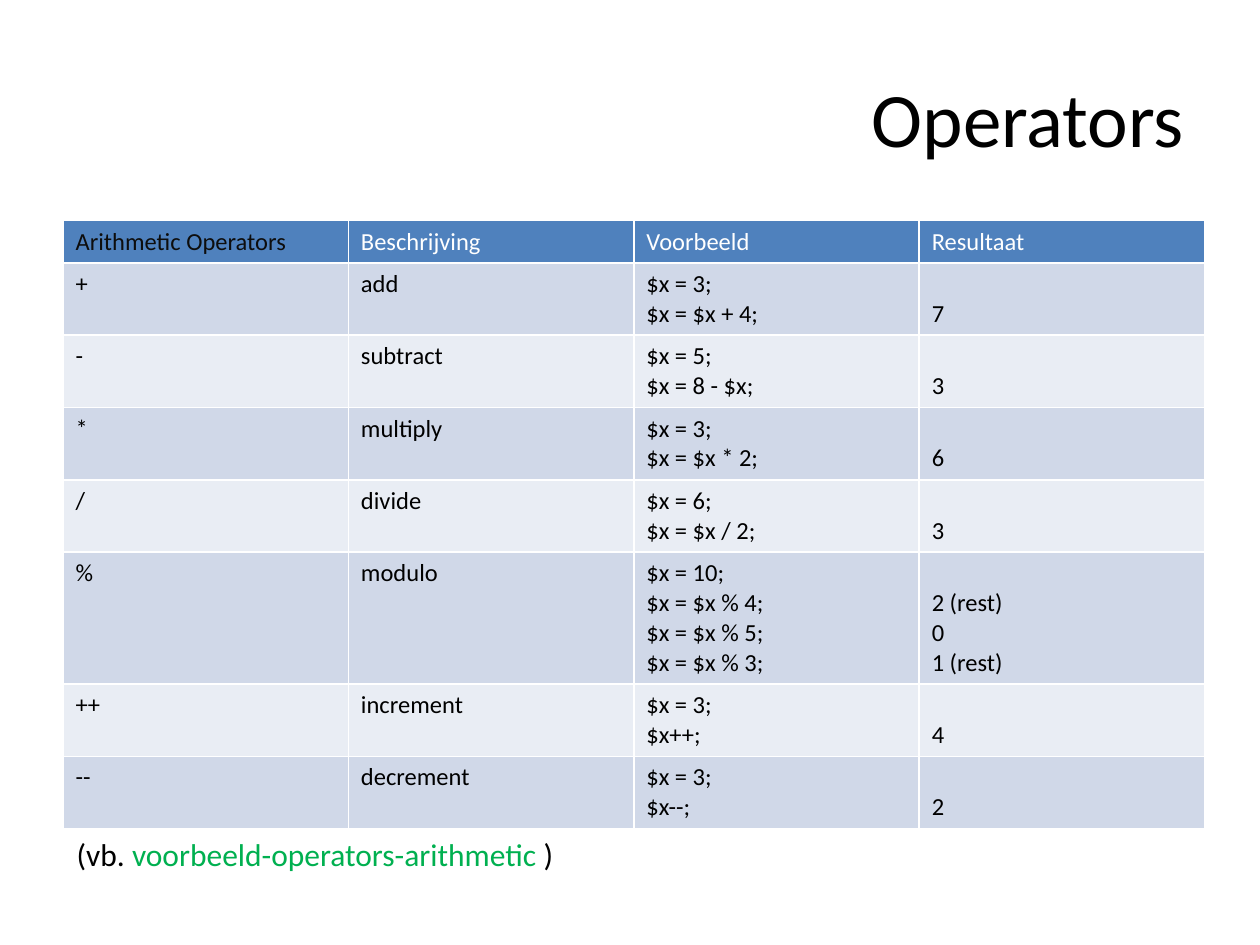
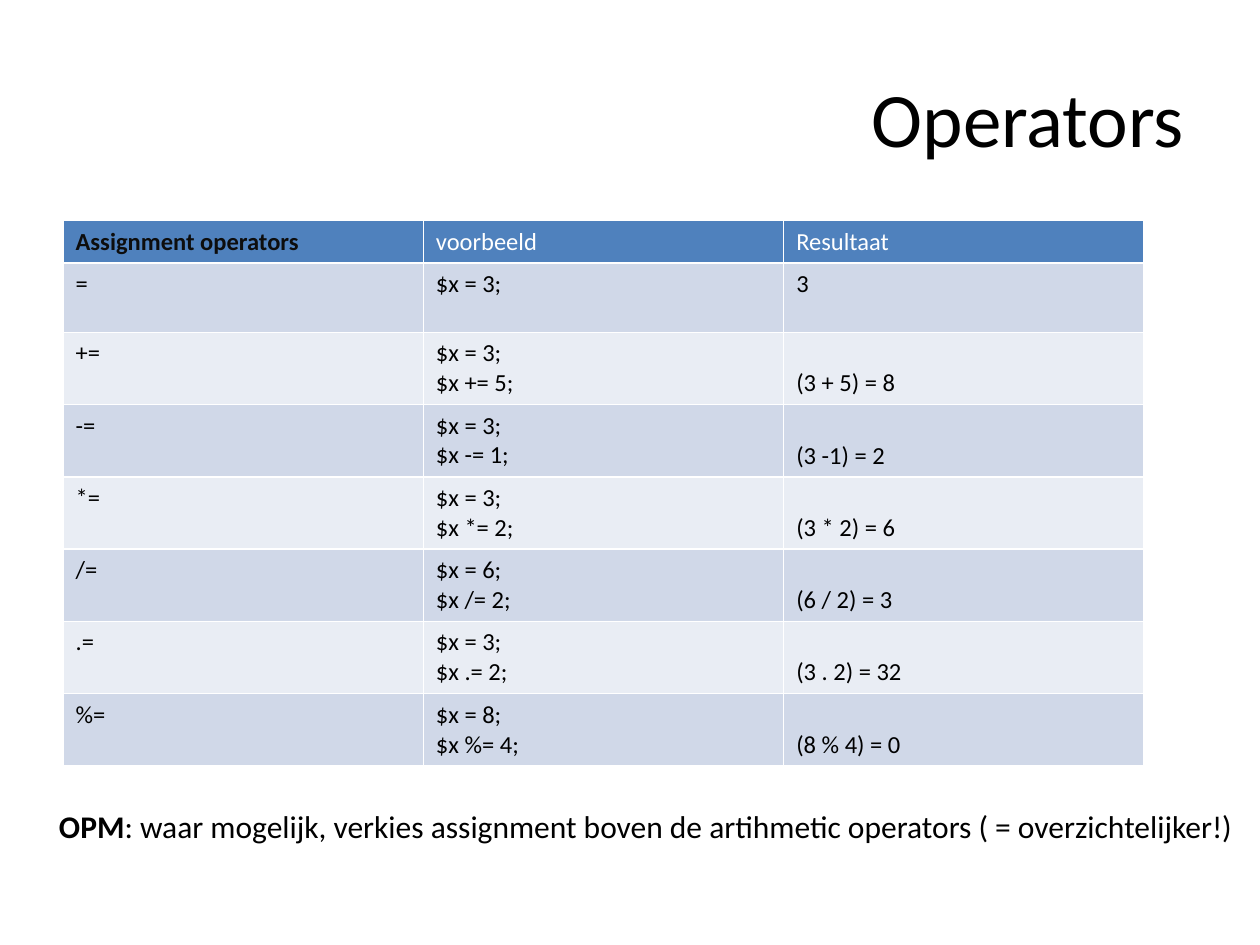
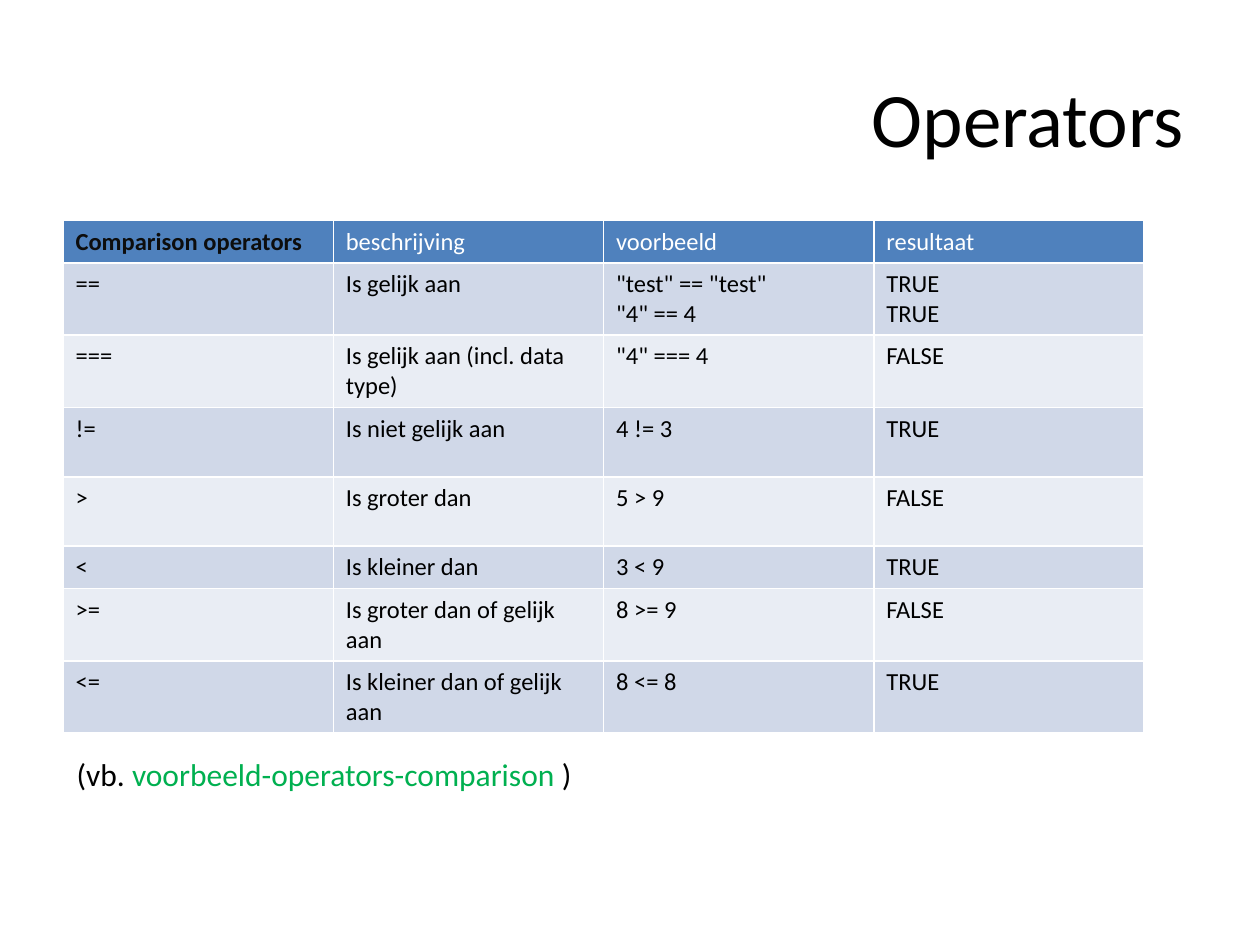
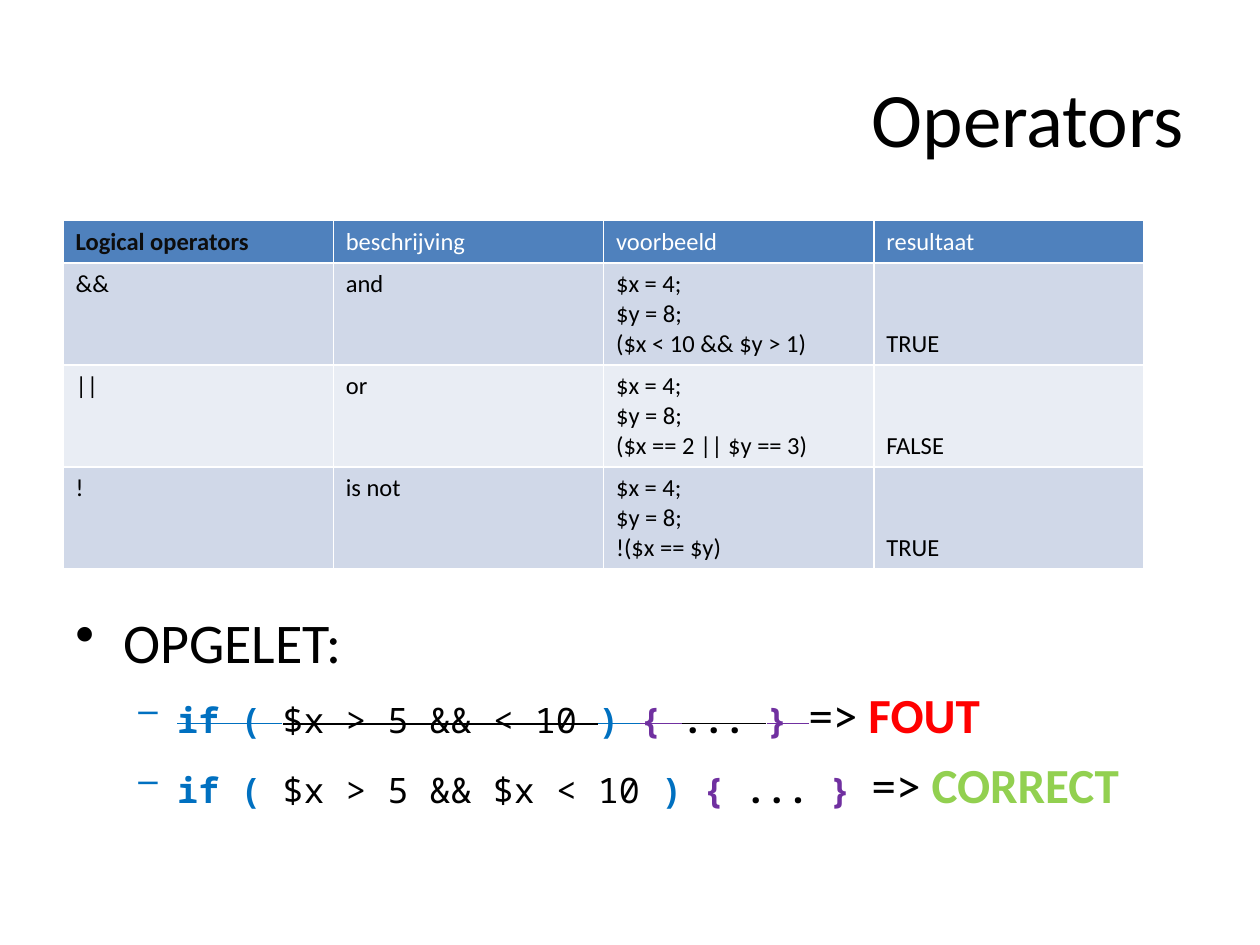
from pptx import Presentation
from pptx.dml.color import RGBColor
from pptx.enum.text import MSO_ANCHOR, MSO_AUTO_SIZE, PP_ALIGN
from pptx.oxml.ns import qn
from pptx.util import Inches, Pt
from lxml import etree

RIGHT = PP_ALIGN.RIGHT
TOP, MIDDLE, BOTTOM = MSO_ANCHOR.TOP, MSO_ANCHOR.MIDDLE, MSO_ANCHOR.BOTTOM
GROW = MSO_AUTO_SIZE.SHAPE_TO_FIT_TEXT

BLACK = RGBColor(0x00, 0x00, 0x00)
INK = RGBColor(0x0D, 0x0D, 0x0D)
WHITE = RGBColor(0xFF, 0xFF, 0xFF)
HEAD = RGBColor(0x4F, 0x81, 0xBD)
BANDS = [RGBColor(0xE9, 0xED, 0xF4), RGBColor(0xD0, 0xD8, 0xE8)]
GREEN = RGBColor(0x00, 0xB0, 0x50)
BLUE = RGBColor(0x00, 0x70, 0xC0)
PURPLE = RGBColor(0x70, 0x30, 0xA0)
RED = RGBColor(0xFF, 0x00, 0x00)
LIME = RGBColor(0x92, 0xD0, 0x50)

SANS, MONO = "Calibri", "Noto Sans Mono"
LEFT, TABLE_TOP = 0.5, 1.75
HEAD_ROW, ROW = 0.32, 0.55

# One entry per slide: table width, height of the sixth row, table rows,
# place of the note and its runs (text, colour, bold).
PAGES = [
    (9.06, 1, [
        ("Arithmetic Operators", "Beschrijving", "Voorbeeld", "Resultaat"),
        ("+", "add", "$x = 3;\n$x = $x + 4;", "7"),
        ("-", "subtract", "$x = 5;\n$x = 8 - $x;", "3"),
        ("*", "multiply", "$x = 3;\n$x = $x * 2;", "6"),
        ("/", "divide", "$x = 6;\n$x = $x / 2;", "3"),
        ("%", "modulo", "$x = 10;\n$x = $x % 4;\n$x = $x % 5;\n$x = $x % 3;",
         "2 (rest)\n0\n1 (rest)"),
        ("++", "increment", "$x = 3;\n$x++;", "4"),
        ("--", "decrement", "$x = 3;\n$x--;", "2"),
    ], (0.51, 6.58, 4.03), [
        ("(vb. ", BLACK, False),
        ("voorbeeld-operators-arithmetic ", GREEN, False),
        (")", BLACK, False),
    ]),
    (8.58, ROW, [
        ("Assignment operators", "voorbeeld", "Resultaat"),
        ("=", "$x = 3;", "3"),
        ("+=", "$x = 3;\n$x += 5;", "(3 + 5) = 8"),
        ("-=", "$x = 3;\n$x -= 1;", "(3 -1) = 2"),
        ("*=", "$x = 3;\n$x *= 2;", "(3 * 2) = 6"),
        ("/=", "$x = 6;\n$x /= 2;", "(6 / 2) = 3"),
        (".=", "$x = 3;\n$x .= 2;", "(3 . 2) = 32"),
        ("%=", "$x = 8;\n$x %= 4;", "(8 % 4) = 0"),
    ], (0.37, 6.36, 9.63), [
        ("OPM", BLACK, True),
        (": waar mogelijk, verkies assignment boven de artihmetic operators "
         "( = overzichtelijker!)", BLACK, False),
    ]),
    (8.58, HEAD_ROW, [
        ("Comparison operators", "beschrijving", "voorbeeld", "resultaat"),
        ("==", "Is gelijk aan", '"test" == "test"\n"4" == 4', "TRUE\nTRUE"),
        ("===", "Is gelijk aan (incl. data type)", '"4" === 4', "FALSE"),
        ("!=", "Is niet gelijk aan", "4 != 3", "TRUE"),
        (">", "Is groter dan", "5 > 9", "FALSE"),
        ("<", "Is kleiner dan", "3 < 9", "TRUE"),
        (">=", "Is groter dan of gelijk aan", "8 >= 9", "FALSE"),
        ("<=", "Is kleiner dan of gelijk aan", "8 <= 8", "TRUE"),
    ], (0.51, 5.94, 4.17), [
        ("(vb. ", BLACK, False),
        ("voorbeeld-operators-comparison ", GREEN, False),
        (")", BLACK, False),
    ]),
    (8.58, ROW, [
        ("Logical operators", "beschrijving", "voorbeeld", "resultaat"),
        ("&&", "and", "$x = 4;\n$y = 8;\n($x < 10 && $y > 1)", "TRUE"),
        ("||", "or", "$x = 4;\n$y = 8;\n($x == 2 || $y == 3)", "FALSE"),
        ("!", "is not", "$x = 4;\n$y = 8;\n!($x == $y)", "TRUE"),
    ], None, []),
]


def add_run(para, text, size, tint=BLACK, bold=False, face=SANS):
    run = para.add_run()
    run.text = text
    run.font.size, run.font.name = Pt(size), face
    run.font.bold, run.font.color.rgb = bold, tint
    return run


def set_bullet(para, mark, level, margin, hang):
    """Give the paragraph a bullet and a hanging indent, in inches."""
    para.level = level
    para.space_before = Pt(6)
    props = para._p.get_or_add_pPr()
    props.set("marL", str(Inches(margin)))
    props.set("indent", str(-Inches(hang)))
    etree.SubElement(props, qn("a:buChar")).set("char", mark)


deck = Presentation()
deck.slide_width, deck.slide_height = Inches(10), Inches(7.5)

for width, sixth, rows, spot, note in PAGES:
    slide = deck.slides.add_slide(deck.slide_layouts[5])
    title = slide.shapes.title
    title.left, title.top = Inches(LEFT), Inches(0.3)
    title.width, title.height = Inches(9), Inches(1.25)
    title.text_frame.vertical_anchor = MIDDLE
    para = title.text_frame.paragraphs[0]
    para.alignment = RIGHT
    add_run(para, "Operators", 44)

    sizes = [HEAD_ROW] + [ROW] * (len(rows) - 1)
    if len(rows) > 5:
        sizes[5] = sixth
    count = len(rows[0])
    table = slide.shapes.add_table(
        len(rows), count, Inches(LEFT), Inches(TABLE_TOP),
        Inches(width), Inches(sum(sizes))).table
    for r, row in enumerate(rows):
        table.rows[r].height = Inches(sizes[r])
        # A result shorter than its example lines up with the last code line.
        low = row[-1].count("\n") < row[-2].count("\n")
        for c, text in enumerate(row):
            cell = table.cell(r, c)
            cell.text_frame.text = text
            cell.vertical_anchor = BOTTOM if low and c == count - 1 else TOP
            cell.fill.solid()
            cell.fill.fore_color.rgb = BANDS[r % 2] if r else HEAD
            for para in cell.text_frame.paragraphs:
                font = para.runs[0].font
                font.size, font.name = Pt(14), SANS
                font.bold = r == c == 0 and text != "Arithmetic Operators"
                font.color.rgb = BLACK if r else WHITE if c else INK

    if spot:
        left, top, wide = spot
        box = slide.shapes.add_textbox(
            Inches(left), Inches(top), Inches(wide), Inches(0.4))
        box.text_frame.word_wrap = False
        box.text_frame.auto_size = GROW
        for text, tint, bold in note:
            add_run(box.text_frame.paragraphs[0], text, 18, tint, bold)

# Warning below the last table
frame = slide.shapes.add_textbox(
    Inches(LEFT), Inches(4.77), Inches(9), Inches(2.08)).text_frame
frame.word_wrap = True
para = frame.paragraphs[0]
set_bullet(para, "•", 0, 0.38, 0.38)
add_run(para, "OPGELET:", 32)

for test, word, tint, struck in [
    ("$x > 5 && < 10 ", "FOUT", RED, True),
    ("$x > 5 && $x < 10 ", "CORRECT", LIME, False),
]:
    para = frame.add_paragraph()
    set_bullet(para, "–", 1, 0.81, 0.31)
    for text, hue, bold in [
        ("if ( ", BLUE, True), (test, BLACK, False), (") ", BLUE, True),
        ("{ ", PURPLE, True), ("... ", BLACK, True), ("} ", PURPLE, True),
    ]:
        run = add_run(para, text, 20, hue, bold, MONO)
        if struck:
            run.font._element.set("strike", "sngStrike")
    add_run(para, "=> ", 28)
    add_run(para, word, 28, tint, True)

deck.save("out.pptx")
